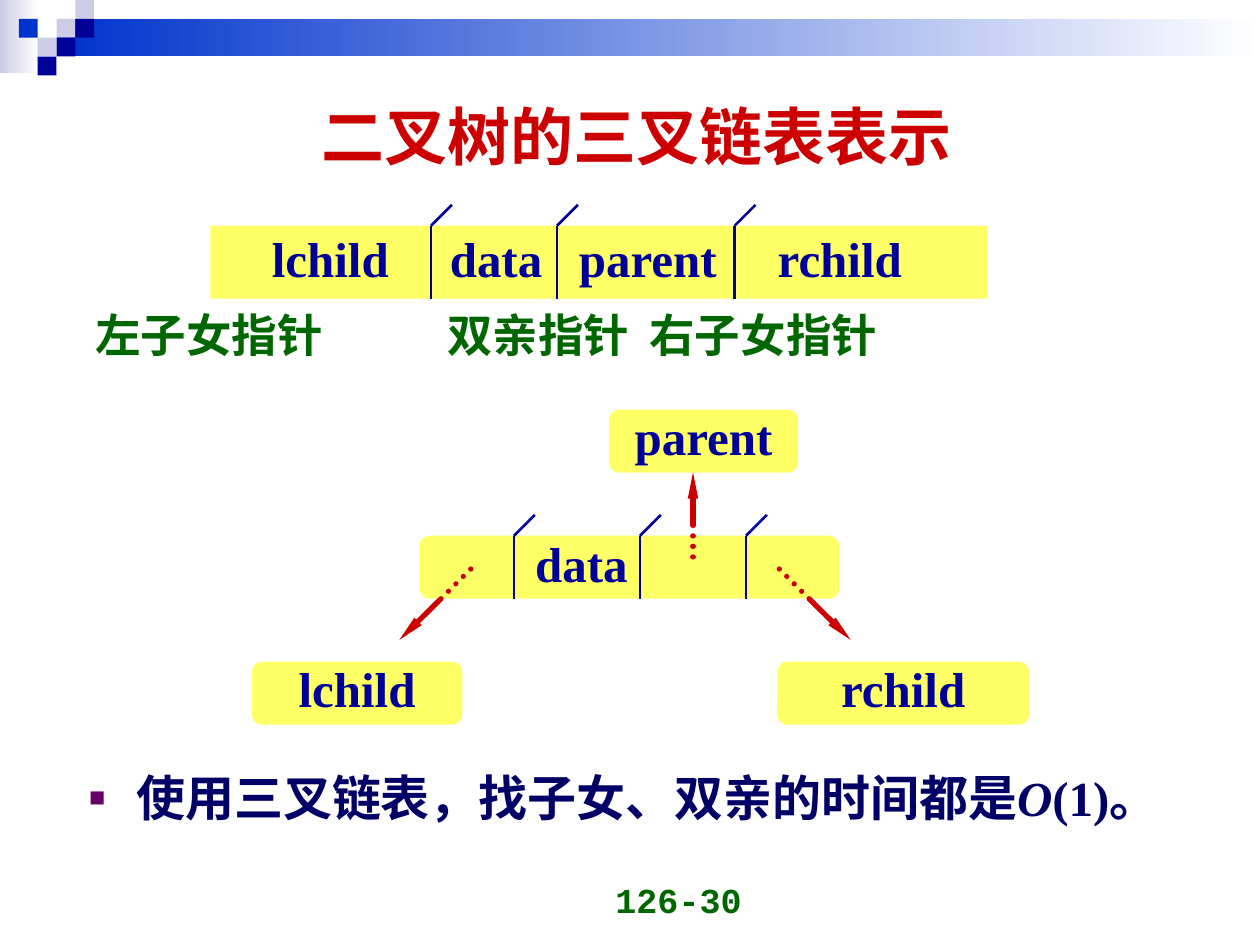
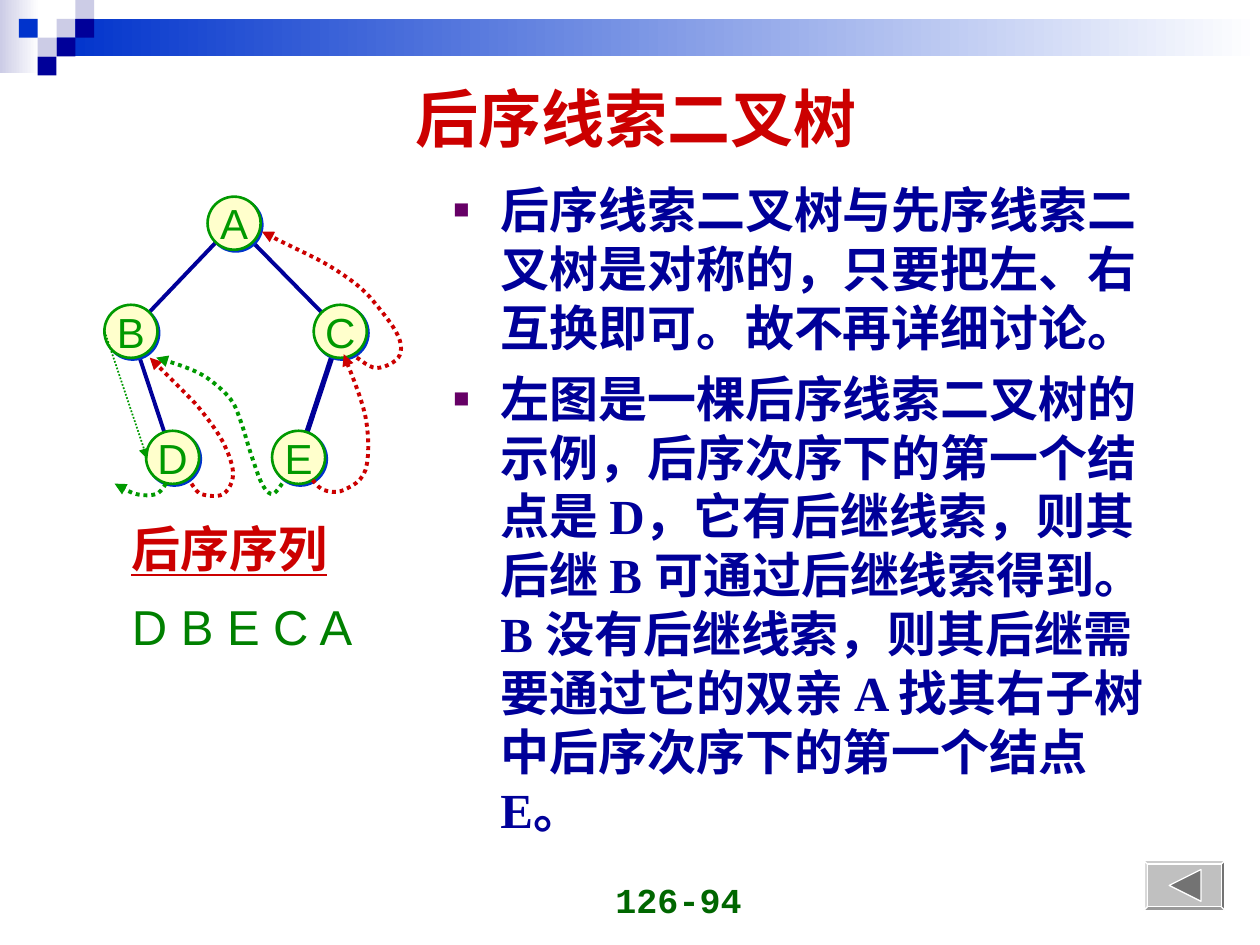
from lxml.etree import SubElement
from pptx import Presentation
from pptx.dml.color import RGBColor
from pptx.enum.dml import MSO_LINE
from pptx.enum.lang import MSO_LANGUAGE_ID as Lang
from pptx.enum.shapes import MSO_CONNECTOR, MSO_SHAPE as Shape
from pptx.enum.text import MSO_ANCHOR as Anchor, PP_ALIGN as Align
from pptx.oxml.ns import qn
from pptx.util import Cm, Pt

NAVY, BLUE, LILAC, WHITE = "000099", "0033CC", "CCCCE6", "FFFFFF"
RED, GREEN, DARK_GREEN, YELLOW = "CC0000", "009900", "006600", "FFFF66"
SERIF, SANS, MONO = "Times New Roman", "Arial", "Courier New"
FIELD = {"name": SERIF, "size": 28, "bold": True, "color": NAVY}
TITLE = {**FIELD, "size": 36, "color": RED}
CAPTION = {**FIELD, "size": 26, "color": DARK_GREEN}
PAGE_NUMBER = {**CAPTION, "name": MONO, "size": 20}
SQUARE = 0.38
SQUARES = [(1, 1, BLUE), (2, 2, LILAC), (2, 3, NAVY), (3, 1, LILAC),
           (3, 2, NAVY), (4, 0, LILAC), (4, 1, NAVY)]
NODE_SIZE = 1.07
NODES = {"A": (4.72, 4.5), "B": (2.64, 6.68), "C": (6.86, 6.68),
         "D": (3.48, 9.22), "E": (6.02, 9.22)}
EDGES = [("A", "B", 2.25), ("A", "C", 2.25), ("B", "D", 2.25), ("C", "E", 3)]
THREADS = [
    (GREEN, [(3.35, 9.75), (3.15, 9.96), (2.74, 9.96), (2.31, 9.75)]),
    (RED, [(3.86, 9.75), (4.06, 9.96), (4.5, 9.96), (4.7, 9.55),
           (4.5, 8.92), (4.06, 8.28), (3.66, 7.85), (3.02, 7.21)]),
    (GREEN, [(5.69, 9.75), (5.49, 9.96), (5.28, 9.75), (5.05, 9.12),
             (4.85, 8.48), (4.65, 8.05), (4.22, 7.65), (3.78, 7.42),
             (3.15, 7.21)]),
    (RED, [(7.19, 7.21), (7.59, 7.42), (8.03, 7.21), (8.03, 6.78),
           (7.59, 6.15), (7.19, 5.74), (6.55, 5.31), (5.69, 4.88),
           (5.28, 4.67)]),
    (RED, [(6.3, 9.68), (6.53, 9.88), (6.93, 9.88), (7.37, 9.47),
           (7.37, 8.41), (6.93, 7.14)]),
]


def rgb(color):
    """Turn a hex string into a colour."""
    return RGBColor.from_string(color)


def add_run(paragraph, text, style):
    """Add a run of text formatted from a dict of font values."""
    run = paragraph.add_run()
    run.text = text
    values = {**style, "size": Pt(style["size"]),
              "language_id": Lang.SIMPLIFIED_CHINESE}
    run.font.color.rgb = rgb(values.pop("color"))
    for key, value in values.items():
        setattr(run.font, key, value)


def set_frame(frame, **values):
    """Set text frame attributes from format values."""
    for key, value in values.items():
        setattr(frame, key, value)


def write_centred(shape, text, style, lift=0, wrap=False):
    """Write one centred line into a shape, raised by a lift."""
    set_frame(shape.text_frame, word_wrap=wrap,
              vertical_anchor=Anchor.MIDDLE, margin_left=0, margin_right=0,
              margin_top=0, margin_bottom=Cm(2 * lift))
    paragraph = shape.text_frame.paragraphs[0]
    paragraph.alignment = Align.CENTER
    add_run(paragraph, text, style)


def add_label(slide, text, x, y, style, width=4):
    """Add a line of text centred on a point."""
    height = 1.5
    box = slide.shapes.add_textbox(Cm(x - width / 2), Cm(y - height / 2),
                                   Cm(width), Cm(height))
    write_centred(box, text, style, wrap=True)


def add_block(slide, kind, left, top, width, height, color, fade_to=None):
    """Add a borderless shape with a plain or fading fill."""
    block = slide.shapes.add_shape(kind, Cm(left), Cm(top),
                                   Cm(width), Cm(height))
    block.shadow.inherit = False
    block.line.fill.background()
    if fade_to:
        block.fill.gradient()
        block.fill.gradient_angle = 0
        for stop, shade in zip(block.fill.gradient_stops, (color, fade_to)):
            stop.color.rgb = rgb(shade)
    else:
        block.fill.solid()
        block.fill.fore_color.rgb = rgb(color)
    return block


def style_line(line, color, width, dotted=False, head=None):
    """Format a line; head is the arrowhead's width and length."""
    line.color.rgb = rgb(color)
    line.width = Pt(width)
    ln = line._get_or_add_ln()
    if dotted:
        line.dash_style = MSO_LINE.ROUND_DOT
        ln.set("cap", "rnd" if not head else "flat")
    if head:
        SubElement(ln, qn("a:tailEnd"), type="triangle",
                   w=head[0], len=head[1])


def add_line(slide, start, end, color=NAVY, width=1.5, **style):
    """Add a straight line between two points."""
    ends = [Cm(value) for value in (*start, *end)]
    line = slide.shapes.add_connector(MSO_CONNECTOR.STRAIGHT, *ends)
    SubElement(line._element.spPr, qn("a:effectLst"))
    style_line(line.line, color, width, **style)


def smooth_path(stops, steps=6):
    """Return points on a smooth curve through the stops."""
    padded = [stops[0], *stops, stops[-1]]
    points = [stops[0]]
    for before, start, end, after in zip(padded, padded[1:], padded[2:],
                                         padded[3:]):
        for step in range(1, steps + 1):
            t = step / steps
            points.append(tuple(
                s + t * ((e - b) / 2 + t * (b - 2.5 * s + 2 * e - a / 2
                         + t * (1.5 * (s - e) + (a - b) / 2)))
                for b, s, e, a in zip(before, start, end, after)))
    return points


def add_outline(slide, points, close):
    """Add a freeform through points."""
    corners = [(Cm(x), Cm(y)) for x, y in points]
    builder = slide.shapes.build_freeform(*corners[0])
    builder.add_line_segments(corners[1:], close=close)
    outline = builder.convert_to_shape()
    outline.shadow.inherit = False
    return outline


def add_thread(slide, color, stops):
    """Add a dotted curved arrow through the stops."""
    thread = add_outline(slide, smooth_path(stops), close=False)
    thread.fill.background()
    style_line(thread.line, color, 2.25, dotted=True, head=("med", "med"))


def add_divider(slide, x, top, bottom):
    """Add a field divider with a slanted tick above it."""
    tick = 0.42
    add_line(slide, (x, bottom), (x, top))
    add_line(slide, (x, top), (x + tick, top - tick))


def add_card(slide, left, top, width, text=None):
    """Add a rounded yellow box, with a field name if given."""
    card = add_block(slide, Shape.ROUNDED_RECTANGLE, left, top, width, 1.27,
                     YELLOW)
    if text:
        write_centred(card, text, FIELD, lift=0.1)


def add_pointer(slide, inside, border, tip):
    """Add a pointer, dotted inside its field and solid outside."""
    add_line(slide, border, inside, RED, 3, dotted=True)
    add_line(slide, border, tip, RED, 3, head=("sm", "lg"))


def add_node(slide, letter, x, y):
    """Add a tree node with a thin blue shadow."""
    node = add_block(slide, Shape.OVAL, x - NODE_SIZE / 2, y - NODE_SIZE / 2,
                     NODE_SIZE, NODE_SIZE, "FFFFCC")
    style_line(node.line, GREEN, 1.5)
    effects = node._element.spPr.find(qn("a:effectLst"))
    shadow = SubElement(effects, qn("a:outerShdw"), blurRad="0",
                        dist=str(Pt(1.4)), dir="2700000", algn="ctr")
    SubElement(shadow, qn("a:srgbClr"), val=BLUE)
    write_centred(node, letter, {"name": SANS, "size": 24, "color": GREEN})


def add_bullets(slide, left, top, width, height, items):
    """Add a bulleted list whose items are lists of text and style."""
    frame = slide.shapes.add_textbox(Cm(left), Cm(top), Cm(width),
                                     Cm(height)).text_frame
    frame.word_wrap = True
    for index, runs in enumerate(items):
        paragraph = frame.add_paragraph() if index else frame.paragraphs[0]
        pPr = paragraph._p.get_or_add_pPr()
        pPr.set("marL", str(Cm(0.95)))
        pPr.set("indent", str(Cm(-0.95)))
        SubElement(SubElement(pPr, qn("a:buClr")), qn("a:srgbClr"),
                   val="660066")
        SubElement(pPr, qn("a:buSzPct"), val="55000")
        SubElement(pPr, qn("a:buFont"), typeface=SANS)
        SubElement(pPr, qn("a:buChar"), char="■")
        paragraph.line_spacing = Pt(33.6)
        paragraph.space_before = Pt(7 if index else 0)
        for text, style in runs:
            add_run(paragraph, text, style)


def add_back_button(slide):
    """Add the grey button with a triangle pointing back."""
    button = add_block(slide, Shape.BEVEL, 23.06, 17.35, 1.63, 1, "C0C0C0")
    button.adjustments[0] = 0.07
    style_line(button.line, WHITE, 0.75)
    triangle = add_outline(slide, [(23.57, 17.85), (24.21, 17.53),
                                   (24.21, 18.17)], close=True)
    triangle.fill.solid()
    triangle.fill.fore_color.rgb = rgb("737373")
    style_line(triangle.line, WHITE, 0.75)


def start_slide(deck, title, title_y, number):
    """Add a slide with the shared band, title and page number."""
    slide = deck.slides.add_slide(deck.slide_layouts[6])
    add_block(slide, Shape.RECTANGLE, 0, 0, 0.79, 1.47, LILAC, WHITE)
    add_block(slide, Shape.RECTANGLE, 1.14, SQUARE, 24.26, 0.76, BLUE, WHITE)
    for column, row, color in SQUARES:
        add_block(slide, Shape.RECTANGLE, column * SQUARE, row * SQUARE,
                  SQUARE, SQUARE, color)
    add_label(slide, title, 12.83, title_y, TITLE, width=22.86)
    add_label(slide, number, 13.68, 18.14, PAGE_NUMBER)
    return slide


def build_linked_list(deck):
    """Build the slide on the triple linked list."""
    slide = start_slide(deck, "二叉树的三叉链表表示", 2.72, "126-30")
    add_block(slide, Shape.RECTANGLE, 4.24, 4.55, 15.67, 1.47, YELLOW)
    for field, x in [("lchild", 6.66), ("data", 10), ("parent", 13.06),
                     ("rchild", 16.93)]:
        add_label(slide, field, x, 5.19, FIELD)
    for x in (8.69, 11.23, 14.81):
        add_divider(slide, x, 4.55, 6.02)
    for caption, x in [("左子女指针", 4.22), ("双亲指针", 10.85),
                       ("右子女指针", 15.39)]:
        add_label(slide, caption, x, 6.74, CAPTION, width=6)

    add_card(slide, 12.28, 8.26, 3.81, "parent")
    add_card(slide, 8.46, 10.8, 8.46)
    add_card(slide, 15.67, 13.34, 5.08, "rchild")
    add_card(slide, 5.08, 13.34, 4.24, "lchild")
    add_label(slide, "data", 11.72, 11.34, FIELD)
    for x in (10.36, 12.9, 15.04):
        add_divider(slide, x, 10.8, 12.07)
    add_pointer(slide, (13.97, 11.43), (13.97, 10.59), (13.97, 9.52))
    add_pointer(slide, (9.53, 11.43), (8.89, 12.07), (8.05, 12.9))
    add_pointer(slide, (15.67, 11.43), (16.31, 12.07), (17.15, 12.9))

    note = {**FIELD, "color": "000066"}
    add_bullets(slide, 1.55, 15.35, 22.86, 2.2, [
        [("使用三叉链表，找子女、双亲的时间都是", note),
         ("O", {**note, "italic": True}), ("(1)。", note)]])


def build_threaded_tree(deck):
    """Build the slide on the postorder threaded tree."""
    slide = start_slide(deck, "后序线索二叉树", 2.37, "126-94")
    add_back_button(slide)
    for parent, child, width in EDGES:
        add_line(slide, NODES[parent], NODES[child], width=width)
    for letter, (x, y) in NODES.items():
        add_node(slide, letter, x, y)
    for color, stops in THREADS:
        add_thread(slide, color, stops)
    add_line(slide, (2.11, 6.68), (2.97, 9.25), GREEN, 1, dotted=True,
             head=("med", "med"))
    heading = {**FIELD, "name": SANS, "color": RED, "underline": True}
    add_label(slide, "后序序列", 4.62, 11.05, heading, width=5)
    add_label(slide, "D B E C A", 4.88, 12.62,
              {"name": SANS, "size": 28, "color": "008000"}, width=5)

    sans = {**FIELD, "name": SANS}
    add_bullets(slide, 8.89, 3.5, 14.91, 13.69, [
        [("后序线索二叉树与先序线索二叉树是对称的，"
          "只要把左、右互换即可。故不再详细讨论。", sans)],
        [("左图是一棵后序线索二叉树的示例，后序次序下的第一个结点是 ", sans),
         ("D", FIELD), ("，它有后继线索，则其后继 ", sans), ("B ", FIELD),
         ("可通过后继线索得到。", sans), ("B ", FIELD),
         ("没有后继线索，则其后继需要通过它的双", sans),
         ("亲 A 找其右子树中后序次序下的第一个结点 E。", FIELD)]])


def main():
    """Build and save the two slides."""
    deck = Presentation()
    deck.slide_width, deck.slide_height = Cm(25.4), Cm(19.05)
    build_linked_list(deck)
    build_threaded_tree(deck)
    deck.save("out.pptx")


if __name__ == "__main__":
    main()
